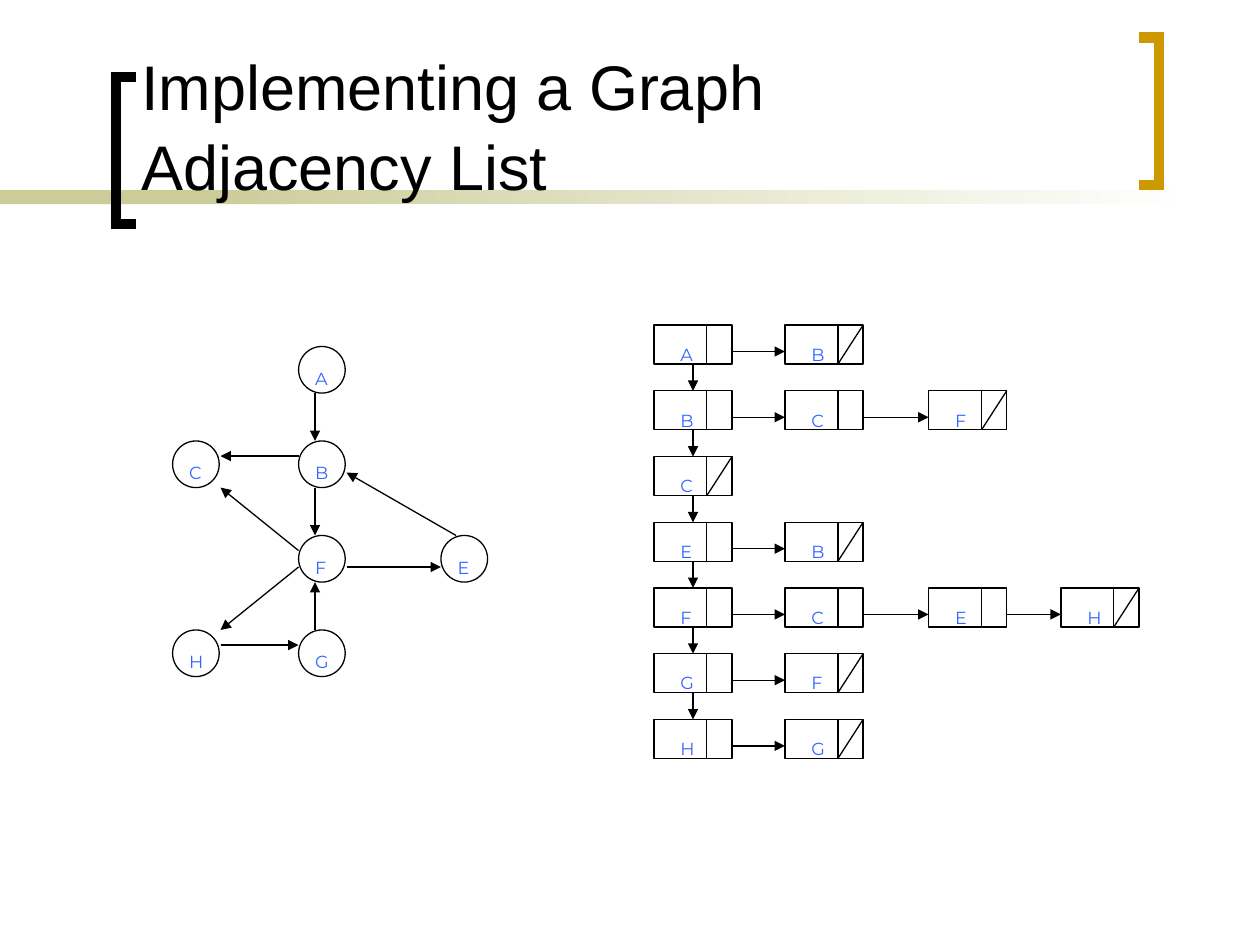
"""Build the slide on a graph and its adjacency list."""
from lxml.etree import SubElement
from pptx import Presentation
from pptx.dml.color import RGBColor
from pptx.enum.shapes import MSO_CONNECTOR, MSO_SHAPE
from pptx.enum.text import MSO_ANCHOR, MSO_AUTO_SIZE, PP_ALIGN
from pptx.oxml.ns import qn
from pptx.util import Inches, Pt

BLACK = RGBColor(0, 0, 0)
WHITE = RGBColor(0xFF, 0xFF, 0xFF)
SAND = RGBColor(0xCC, 0xCC, 0x99)
GOLD = RGBColor(0xCC, 0x99, 0x00)
BLUE = RGBColor(0x33, 0x66, 0xFF)


def link(group, x1, y1, x2, y2, arrow=False):
    line = group.shapes.add_connector(
        MSO_CONNECTOR.STRAIGHT, Inches(x1), Inches(y1), Inches(x2), Inches(y2))
    line.line.color.rgb = BLACK
    line.line.width = Pt(0.75)
    props = line._element.spPr
    if arrow:
        SubElement(props.find(qn("a:ln")), qn("a:tailEnd"), type="triangle")
    SubElement(props, qn("a:effectLst"))


def node(group, kind, name, box, label):
    shape = group.shapes.add_shape(kind, *map(Inches, box))
    shape.shadow.inherit = False
    shape.fill.solid()
    shape.fill.fore_color.rgb = WHITE
    shape.line.color.rgb = BLACK
    shape.line.width = Pt(0.75)
    text = group.shapes.add_textbox(*map(Inches, label))
    text.text_frame.word_wrap = False
    run = text.text_frame.paragraphs[0].add_run()
    run.text = name
    run.font.size = Pt(10)
    run.font.name = "Montserrat"
    run.font.color.rgb = BLUE


deck = Presentation()
deck.slide_width, deck.slide_height = Inches(10), Inches(7.5)
slide = deck.slides.add_slide(deck.slide_layouts[5])
shapes = slide.shapes

for left, width in [(0, 2.33), (1.58, 7.92)]:
    band = shapes.add_shape(
        MSO_SHAPE.RECTANGLE, Inches(left), Inches(1.51), Inches(width), Inches(0.11))
    band.shadow.inherit = False
    band.line.fill.background()
    if left == 0:
        band.fill.solid()
        band.fill.fore_color.rgb = SAND
    else:
        band.fill.gradient()
        band.fill.gradient_angle = 0
        for stop, color in zip(band.fill.gradient_stops, (SAND, WHITE)):
            stop.color.rgb = color

for tip, back, top, color in [(1.08, 0.92, 0.61, BLACK), (9.04, 9.2, 0.3, GOLD)]:
    low = top + 1.17
    path = shapes.build_freeform(Inches(tip), Inches(top))
    path.add_line_segments(
        [(Inches(x), Inches(y)) for x, y in [(back, top), (back, low), (tip, low)]],
        close=False)
    bracket = path.convert_to_shape()
    bracket.shadow.inherit = False
    bracket.fill.background()
    bracket.line.color.rgb = color
    bracket.line.width = Pt(6)
    SubElement(bracket._element.spPr.find(qn("a:ln")), qn("a:miter"), lim="800000")

title = shapes.title
title.left, title.top = Inches(1.02), Inches(0.11)
title.width, title.height = Inches(7.83), Inches(1.55)
frame = title.text_frame
frame.auto_size = MSO_AUTO_SIZE.NONE
frame.vertical_anchor = MSO_ANCHOR.BOTTOM
head = frame.paragraphs[0]
head.alignment = PP_ALIGN.LEFT
head.line_spacing = 1.05
for part in ["Implementing a Graph", "Adjacency List"]:
    if head.runs:
        head.add_line_break()
    run = head.add_run()
    run.text = part
    run.font.size = Pt(36)
    run.font.name = "Arial"
    run.font.color.rgb = BLACK
shapes._spTree.append(title._element)

graph = shapes.add_group_shape()
spots = {"A": (2.37, 2.75), "B": (2.37, 3.5), "C": (1.37, 3.5), "F": (2.37, 4.25),
         "E": (3.5, 4.25), "G": (2.37, 5), "H": (1.37, 5)}
for name, (x, y) in spots.items():
    node(graph, MSO_SHAPE.OVAL, name, (x, y, 0.37, 0.37),
         (x + 0.13, y + 0.12, 0.1, 0.19))
edges = [
    (2.5, 3.12, 2.5, 3.5), (2.5, 3.87, 2.5, 4.25), (2.75, 4.5, 3.5, 4.5),
    (3.62, 4.25, 2.75, 3.75), (2.37, 3.62, 1.75, 3.62), (2.37, 4.5, 1.75, 5),
    (1.75, 5.12, 2.37, 5.12), (2.5, 5, 2.5, 4.62), (2.37, 4.37, 1.75, 3.87),
]
for edge in edges:
    link(graph, *edge, arrow=True)

chart = shapes.add_group_shape()
rows = ["AB", "BCF", "C", "EB", "FCEH", "GF", "HG"]
cols = [5.19, 6.23, 7.37, 8.42]
first, last = 2.58, 5.71
pitch = (last - first) / (len(rows) - 1)
wide, high = 0.62, 0.31
for i, row in enumerate(rows):
    y = first + i * pitch
    for j, name in enumerate(row):
        x = cols[j]
        node(chart, MSO_SHAPE.RECTANGLE, name, (x, y, wide, high),
             (x + 0.21, y + 0.1, 0.09, 0.16))
        link(chart, x + 0.42, y, x + 0.42, y + high)
        if j + 1 < len(row):
            link(chart, x + wide, y + 0.21, cols[j + 1], y + 0.21, arrow=True)
        elif row != "A":
            link(chart, x + wide, y, x + 0.42, y + high)
    if i + 1 < len(rows):
        link(chart, 5.5, y + high, 5.5, y + pitch, arrow=True)

deck.save("out.pptx")
